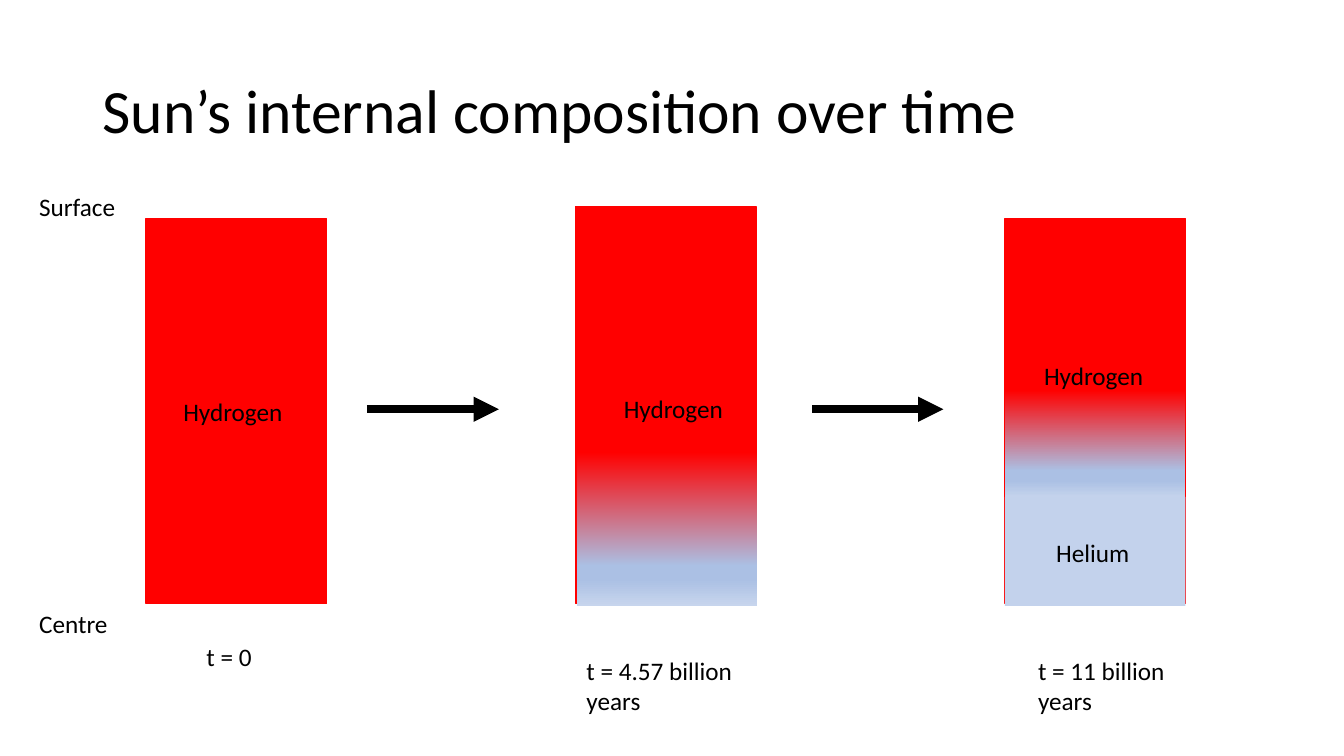
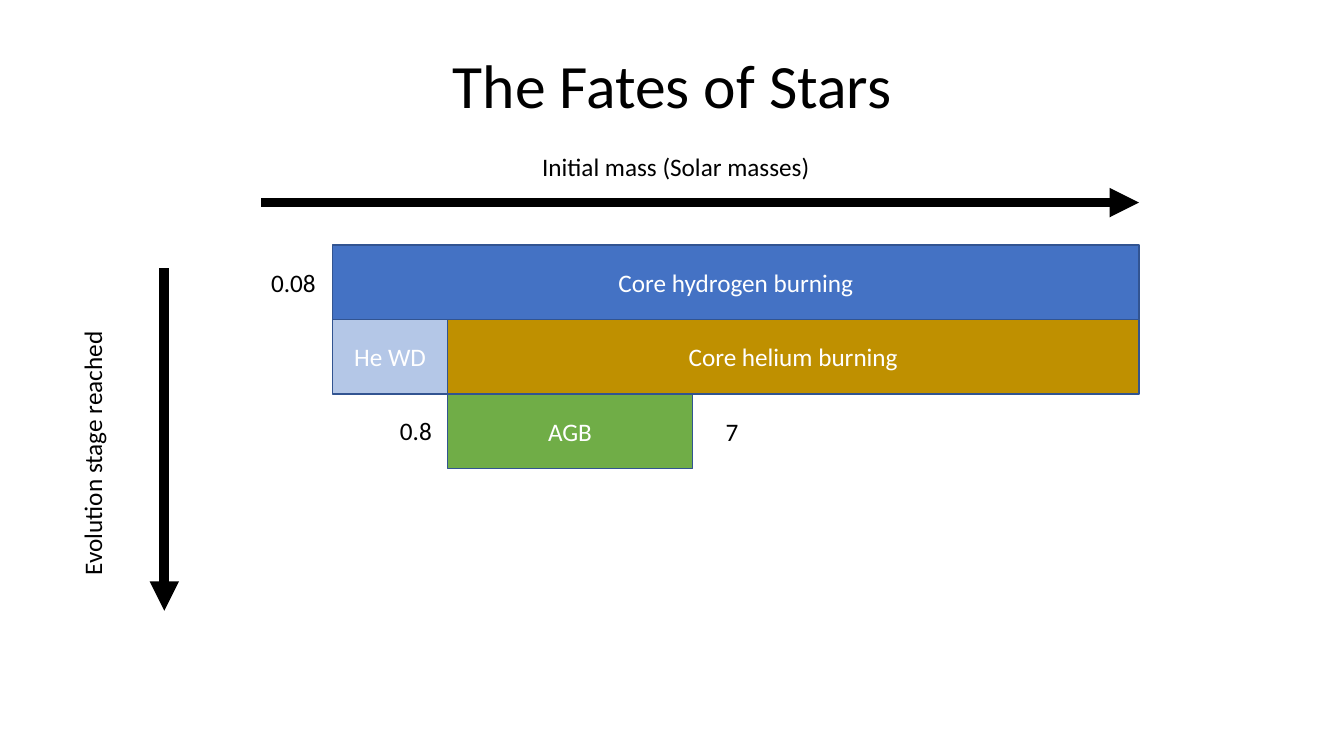
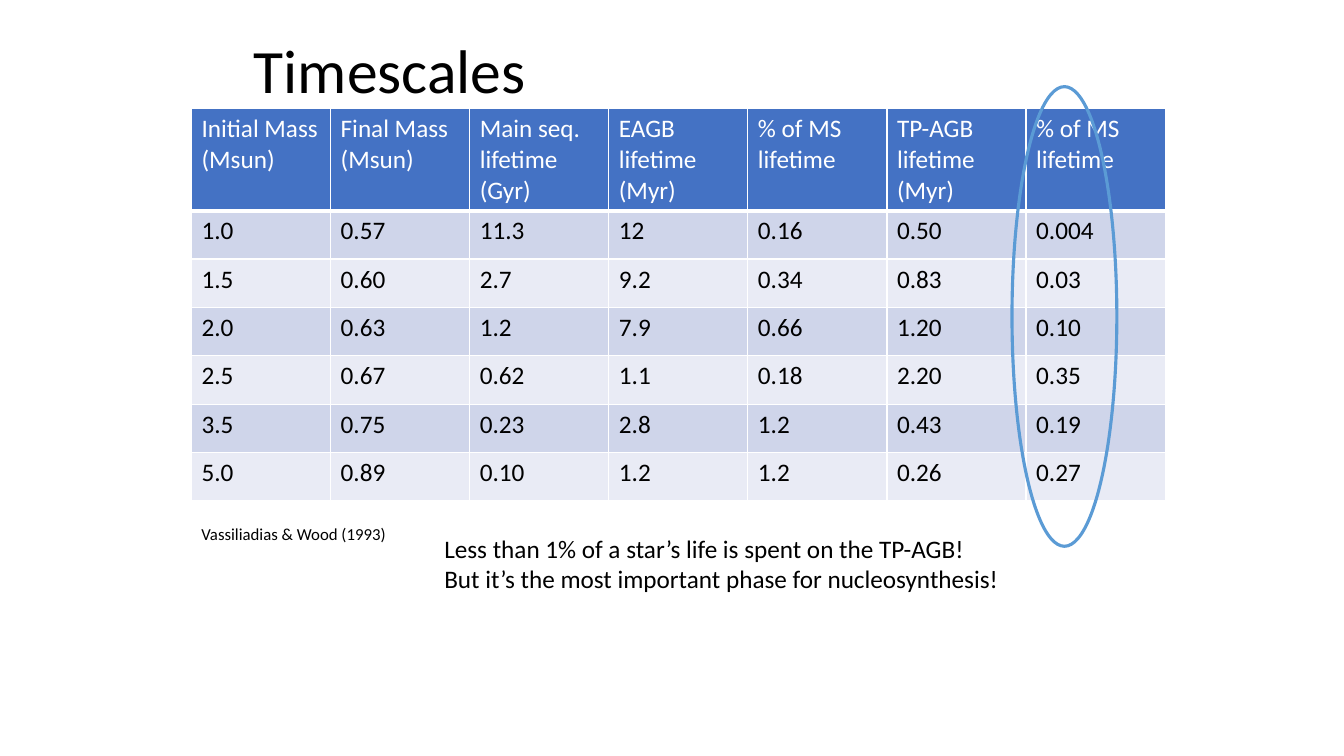
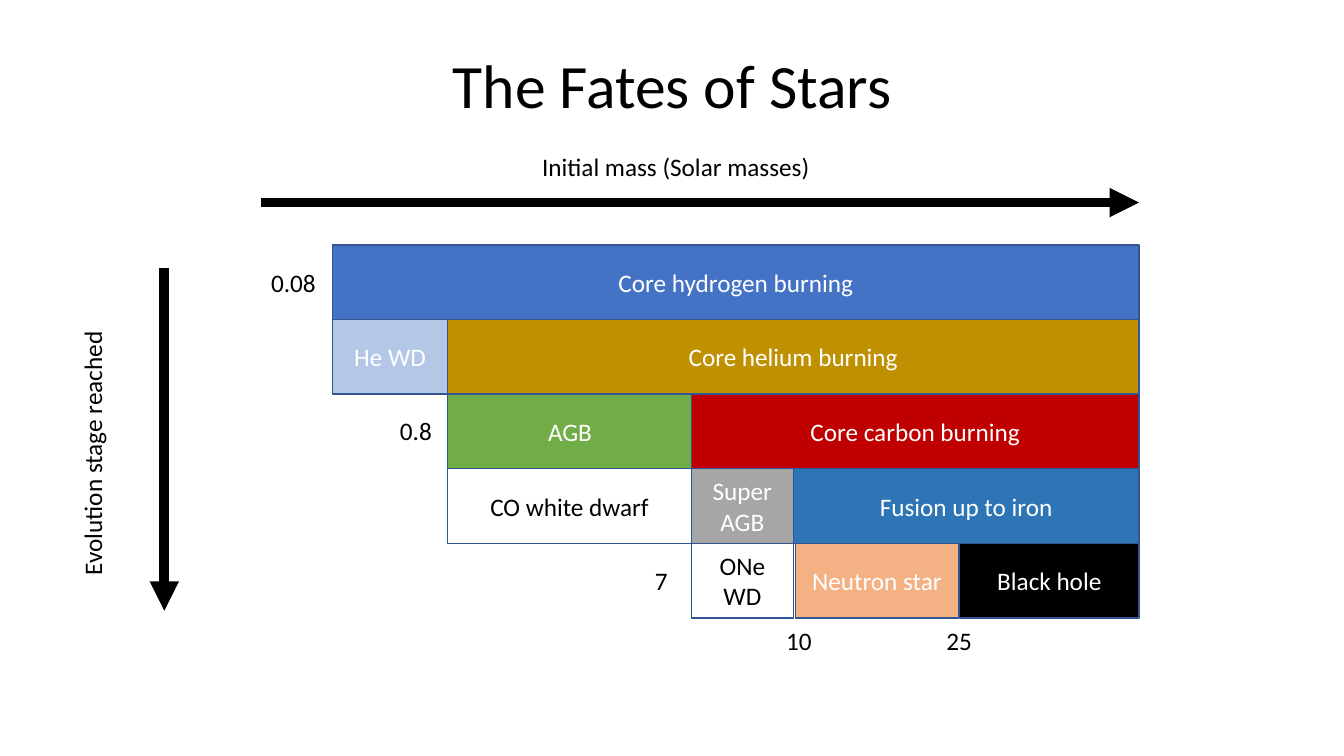
"""Build four slides on how the Sun and other stars evolve."""
from dataclasses import dataclass

from lxml.etree import SubElement
from pptx import Presentation
from pptx.dml.color import RGBColor
from pptx.enum.shapes import MSO_CONNECTOR, MSO_SHAPE
from pptx.enum.text import MSO_ANCHOR, PP_ALIGN
from pptx.oxml.ns import qn
from pptx.util import Emu, Pt


@dataclass(frozen=True)
class Theme:
    font: str = "Calibri"
    title_size: int = 44
    body_size: int = 18
    source_size: int = 12
    black: str = "000000"
    white: str = "FFFFFF"
    hydrogen: str = "FF0000"
    helium: str = "C3D2EC"
    blue: str = "4472C4"
    outline: str = "325491"
    ring: str = "5B9BD5"
    gold: str = "BF9000"
    pale_blue: str = "B4C7E7"
    green: str = "70AD47"
    red: str = "C00000"
    grey: str = "A6A6A6"
    deep_blue: str = "2E75B6"
    peach: str = "F4B183"
    bands: tuple = ("E9EBF5", "CFD5EA")
    mixing: tuple = ((0, "FF0000"), (74, "ABC0E4"), (83, "ABC0E4"), (100, "C7D5ED"))


theme = Theme()
PX = 9144


def write(frame, text, size=theme.body_size, color=theme.black, align=PP_ALIGN.LEFT,
          anchor=MSO_ANCHOR.TOP, spacing=1.0):
    frame.word_wrap = True
    frame.vertical_anchor = anchor
    for index, line in enumerate(text.split("\n")):
        para = frame.add_paragraph() if index else frame.paragraphs[0]
        para.alignment = align
        para.line_spacing = spacing
        span = para.add_run()
        span.text = line
        span.font.name = theme.font
        span.font.size = Pt(size)
        span.font.bold = False
        span.font.color.rgb = RGBColor.from_string(color)


def place(page, at, kind=None, fill=None, line=None, weight=1, text=None, **style):
    lengths = [Emu(value * PX) for value in at]
    if kind is None:
        box = page.shapes.add_textbox(*lengths)
    else:
        box = page.shapes.add_shape(kind, *lengths)
        box.shadow.inherit = False
        if fill:
            box.fill.solid()
            box.fill.fore_color.rgb = RGBColor.from_string(fill)
        else:
            box.fill.background()
        if line:
            box.line.color.rgb = RGBColor.from_string(line)
            box.line.width = Pt(weight)
        else:
            box.line.fill.background()
    if text:
        write(box.text_frame, text, **style)
    return box


deck = Presentation()
deck.slide_width, deck.slide_height = Emu(12192000), Emu(750 * PX)
pages = [deck.slides.add_slide(deck.slide_layouts[6]) for _ in range(4)]
sun_page, fates_page, times_page, full_fates_page = pages

titles = [
    (sun_page, "Sun’s internal composition over time", (92, 40, 1150, 145), PP_ALIGN.LEFT),
    (fates_page, "The Fates of Stars", (92, 40, 1150, 95), PP_ALIGN.CENTER),
    (times_page, "Timescales", (242, 30, 850, 85), PP_ALIGN.LEFT),
    (full_fates_page, "The Fates of Stars", (92, 40, 1150, 95), PP_ALIGN.CENTER),
]
for page, text, at, align in titles:
    place(page, at, text=text, size=theme.title_size, align=align,
          anchor=MSO_ANCHOR.MIDDLE, spacing=0.9)

for left, top in [(145, 217), (571, 205), (997, 217)]:
    place(sun_page, (left, top, 179, 599 - top), MSO_SHAPE.RECTANGLE,
          theme.hydrogen, theme.hydrogen)

for at in [(572, 448, 179, 153), (997, 387, 179, 108)]:
    mixed_zone = place(sun_page, at, MSO_SHAPE.RECTANGLE)
    mixed_zone.fill.gradient()
    mixed_zone.fill.gradient_angle = 270
    stops = mixed_zone._element.spPr.find(qn("a:gradFill")).find(qn("a:gsLst"))
    for stop in list(stops):
        stops.remove(stop)
    for percent, color in theme.mixing:
        stop = SubElement(stops, qn("a:gs"), pos=str(percent * 1000))
        SubElement(stop, qn("a:srgbClr"), val=color)

place(sun_page, (997, 493, 179, 108), MSO_SHAPE.RECTANGLE, theme.helium)

sun_labels = [
    ("Centre", (29, 599, 94, 40)),
    ("Surface", (29, 185, 104, 40)),
    ("t = 0", (195, 631, 78, 40)),
    ("t = 4.57 billion years", (572, 645, 178, 71)),
    ("t = 11 billion years", (1020, 645, 178, 71)),
    ("Hydrogen", (172, 388, 137, 40)),
    ("Hydrogen", (609, 385, 137, 40)),
    ("Hydrogen", (1026, 353, 137, 40)),
    ("Helium", (1038, 528, 116, 40)),
]
for text, at in sun_labels:
    place(sun_page, at, text=text)

STAGE_TOP, STAGE_HEIGHT = 243, 74
early_stages = [
    (0, 330, 1130, theme.blue, "Core hydrogen burning"),
    (1, 444, 1130, theme.gold, "Core helium burning"),
    (1, 330, 444, theme.pale_blue, "He WD"),
    (2, 444, 687, theme.green, "AGB"),
]
late_stages = [
    (2, 686, 1130, theme.red, "Core carbon burning"),
    (3, 686, 787, theme.grey, "Super AGB"),
    (3, 787, 1130, theme.deep_blue, "Fusion up to iron"),
    (3, 444, 686, theme.white, "CO white dwarf"),
    (4, 686, 787, theme.white, "ONe WD"),
    (4, 789, 951, theme.peach, "Neutron star"),
    (4, 952, 1130, theme.black, "Black hole"),
]
shared_labels = [
    ("Initial mass (Solar masses)", (528, 145, 296, 40)),
    ("0.08", (259, 260, 81, 40)),
    ("0.8", (387, 407, 53, 40)),
]
late_labels = [
    ("7", (640, 556, 53, 40)),
    ("10", (770, 615, 54, 40)),
    ("25", (929, 615, 54, 40)),
]
fates = [
    (fates_page, early_stages, shared_labels + [("7", (710, 408, 40, 40))]),
    (full_fates_page, early_stages + late_stages, shared_labels + late_labels),
]
for page, stages, labels in fates:
    for row, left, right, fill, text in stages:
        at = (left, STAGE_TOP + row * STAGE_HEIGHT, right - left, STAGE_HEIGHT)
        color = theme.black if fill == theme.white else theme.white
        place(page, at, MSO_SHAPE.RECTANGLE, fill, theme.outline, text=text,
              color=color, align=PP_ALIGN.CENTER, anchor=MSO_ANCHOR.MIDDLE)
    for text, at in labels:
        place(page, at, text=text)
    axis_label = place(page, (-53, 416, 289, 40), text="Evolution stage reached")
    axis_label.rotation = 270

arrows = [
    (sun_page, (364, 406, 495, 406), 6),
    (sun_page, (806, 406, 936, 406), 6),
]
for page in (fates_page, full_fates_page):
    arrows += [(page, (259, 201, 1130, 201), 7), (page, (163, 266, 163, 606), 7)]
for page, ends, weight in arrows:
    arrow = page.shapes.add_connector(MSO_CONNECTOR.STRAIGHT,
                                      *[Emu(value * PX) for value in ends])
    arrow.line.color.rgb = RGBColor.from_string(theme.black)
    arrow.line.width = Pt(weight)
    SubElement(arrow.line._get_or_add_ln(), qn("a:tailEnd"), type="triangle")
    SubElement(arrow._element.spPr, qn("a:effectLst"))

lifetimes = [
    ["Initial Mass (Msun)", "Final Mass (Msun)", "Main seq. lifetime\n(Gyr)",
     "EAGB lifetime\n(Myr)", "% of MS lifetime", "TP-AGB lifetime\n(Myr)",
     "% of MS lifetime"],
    ["1.0", "0.57", "11.3", "12", "0.16", "0.50", "0.004"],
    ["1.5", "0.60", "2.7", "9.2", "0.34", "0.83", "0.03"],
    ["2.0", "0.63", "1.2", "7.9", "0.66", "1.20", "0.10"],
    ["2.5", "0.67", "0.62", "1.1", "0.18", "2.20", "0.35"],
    ["3.5", "0.75", "0.23", "2.8", "1.2", "0.43", "0.19"],
    ["5.0", "0.89", "0.10", "1.2", "1.2", "0.26", "0.27"],
]
table = times_page.shapes.add_table(
    len(lifetimes), len(lifetimes[0]),
    *[Emu(value * PX) for value in (190, 108, 966, 389)]).table
table.horz_banding = False
for column in table.columns:
    column.width = Emu(138 * PX)
for row_index, values in enumerate(lifetimes):
    header = row_index == 0
    table.rows[row_index].height = Emu((101 if header else 48) * PX)
    for column_index, text in enumerate(values):
        cell = table.cell(row_index, column_index)
        write(cell.text_frame, text, color=theme.white if header else theme.black)
        properties = cell._tc.get_or_add_tcPr()
        for side in "LRTB":
            weight = 3 if header and side == "B" else 1
            border = SubElement(properties, qn(f"a:ln{side}"), w=str(Pt(weight)))
            paint = SubElement(border, qn("a:solidFill"))
            SubElement(paint, qn("a:srgbClr"), val=theme.white)
        cell.fill.solid()
        fill = theme.blue if header else theme.bands[row_index % 2]
        cell.fill.fore_color.rgb = RGBColor.from_string(fill)

place(times_page, (1004, 86, 104, 456), MSO_SHAPE.OVAL, line=theme.ring, weight=2.25)
place(times_page, (190, 515, 203, 50), text="Vassiliadias & Wood (1993)",
      size=theme.source_size)
place(times_page, (431, 524, 573, 71),
      text="Less than 1% of a star’s life is spent on the TP-AGB!\n"
           "But it’s the most important phase for nucleosynthesis!")

deck.save("out.pptx")
